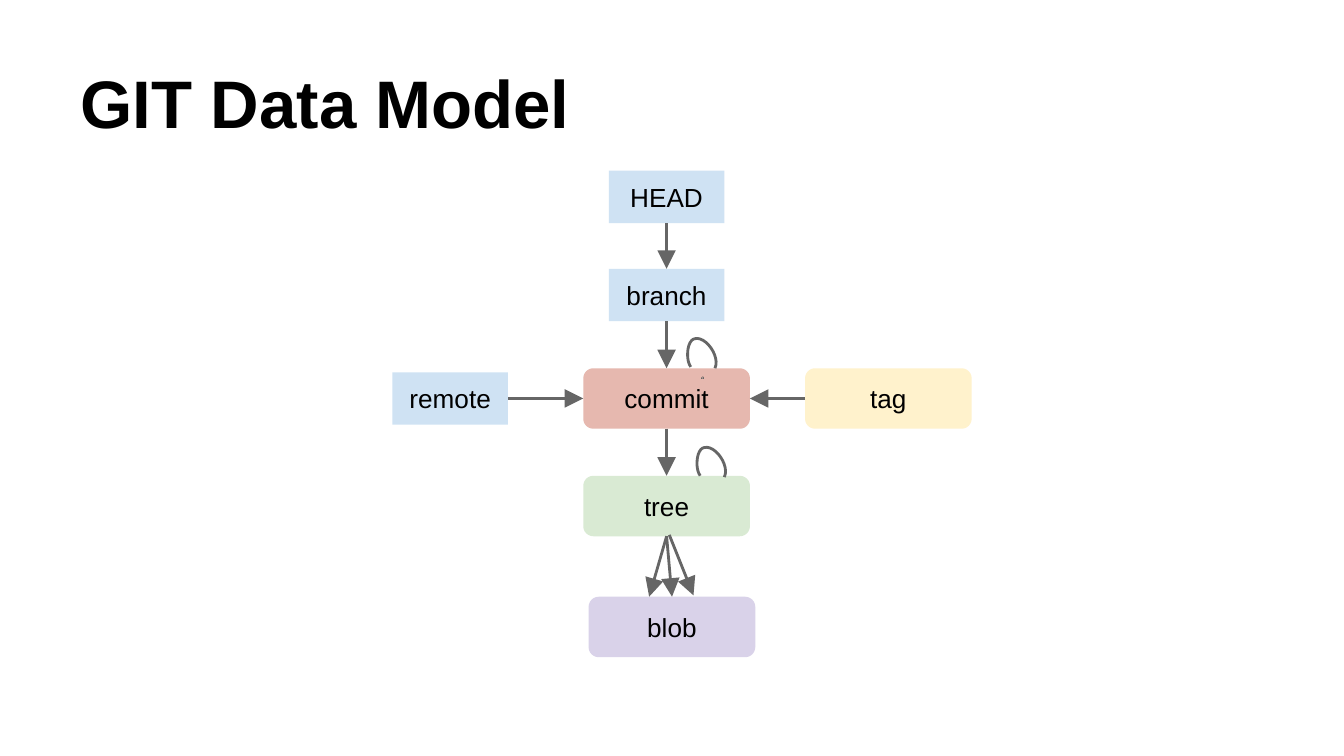
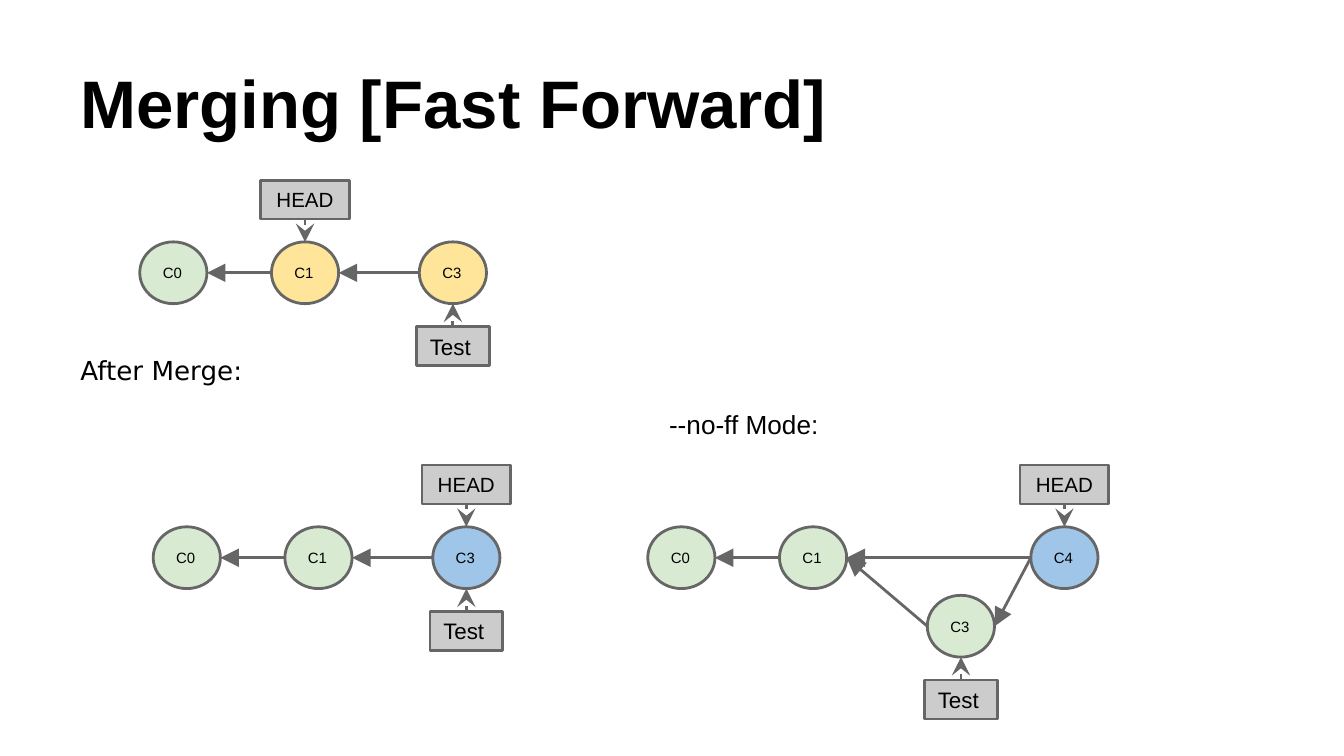
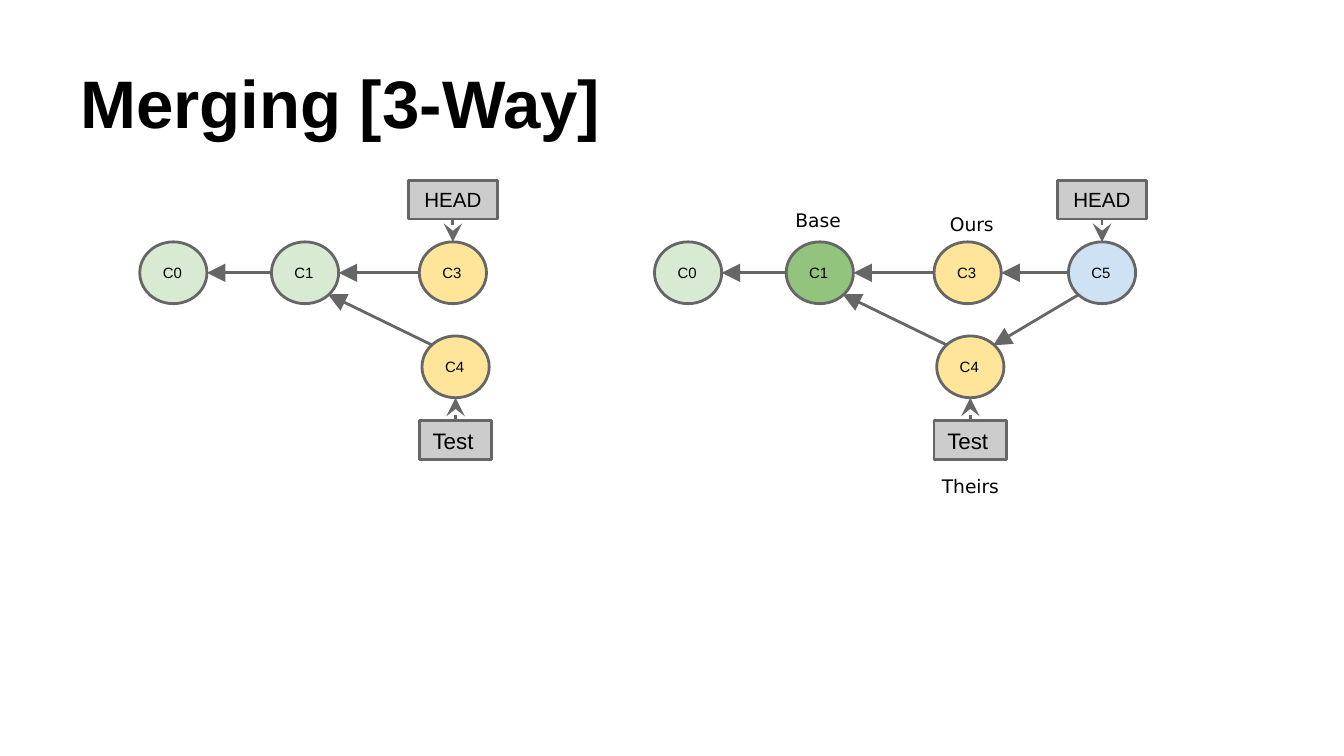
from pptx import Presentation
from pptx import util as u
from pptx.dml.color import RGBColor
from pptx.enum import shapes, text
from pptx.oxml.ns import qn
from lxml import etree

PX = 9144  # 100 px to the inch
BLACK = RGBColor(0x00, 0x00, 0x00)
DARK = RGBColor(0x66, 0x66, 0x66)
GREY = RGBColor(0xCC, 0xCC, 0xCC)
SKY = RGBColor(0xCF, 0xE2, 0xF3)
BLUE = RGBColor(0x9F, 0xC5, 0xE8)
ROSE = RGBColor(0xE6, 0xB8, 0xAF)
MINT = RGBColor(0xD9, 0xEA, 0xD3)
GREEN = RGBColor(0x93, 0xC4, 0x7D)
LILAC = RGBColor(0xD9, 0xD2, 0xE9)
CREAM = RGBColor(0xFF, 0xF2, 0xCC)
GOLD = RGBColor(0xFF, 0xE5, 0x99)

KIND = shapes.MSO_SHAPE
LEFT, MID = text.PP_ALIGN.LEFT, text.PP_ALIGN.CENTER
TOP, BOTTOM, CENTRE = (text.MSO_ANCHOR.TOP, text.MSO_ANCHOR.BOTTOM,
                       text.MSO_ANCHOR.MIDDLE)
SANS = "DejaVu Sans"


def write(words, x, y, w, h, kind=None, fill=None, line=None, size=14,
          font="Arial", bold=False, align=LEFT, anchor=TOP):
    """Place text in a plain box, or in a preset shape if a kind is given."""
    box = [v * PX for v in (x, y, w, h)]
    if kind is None:
        item = slide.shapes.add_textbox(*box)
    else:
        item = slide.shapes.add_shape(kind, *box)
        item.shadow.inherit = False
        item.fill.solid()
        item.fill.fore_color.rgb = fill
        if line is None:
            item.line.fill.background()
        else:
            item.line.color.rgb = line
            item.line.width = u.Pt(1.5)
    frame = item.text_frame
    frame.word_wrap = True
    frame.vertical_anchor = anchor
    frame.margin_left = frame.margin_right = 10 * PX
    frame.margin_top = frame.margin_bottom = 10 * PX
    para = frame.paragraphs[0]
    para.alignment = align
    run = para.add_run()
    run.text = words
    run.font.size = u.Pt(size)
    run.font.name = font
    run.font.bold = bold
    run.font.color.rgb = BLACK
    return item


def arrow(start, end, head="triangle"):
    """Draw an arrow; each end is a point (x, y) or a (shape, side) pair."""
    spots = [(0, 0) if hasattr(e[0], "left") else e for e in (start, end)]
    line = slide.shapes.add_connector(
        shapes.MSO_CONNECTOR.STRAIGHT, *[v * PX for p in spots for v in p])
    if hasattr(start[0], "left"):
        line.begin_connect(*start)
    if hasattr(end[0], "left"):
        line.end_connect(*end)
    line.line.color.rgb = DARK
    line.line.width = u.Pt(1.5)
    props = line.element.spPr
    etree.SubElement(props.find(qn("a:ln")), qn("a:tailEnd"),
                     type=head, w="lg", len="lg")
    etree.SubElement(props, qn("a:effectLst"))


deck = Presentation()
deck.slide_width = 1000 * PX
deck.slide_height = deck.slide_width * 9 // 16
pages = []
for title in ("GIT Data Model", "Merging [Fast Forward]", "Merging [3-Way]"):
    slide = deck.slides.add_slide(deck.slide_layouts[6])
    write(title, 50, 22, 900, 94, size=36, bold=True, anchor=BOTTOM)
    pages.append(slide)

# Data model: objects are rounded, references are square
slide = pages[0]
part = {}
for name, x, y, fill in (("commit", 434, 274, ROSE), ("tree", 434, 354, MINT),
                         ("blob", 438, 444, LILAC), ("tag", 599, 274, CREAM)):
    part[name] = write(name, x, y, 124, 45, kind=KIND.FLOWCHART_ALTERNATE_PROCESS,
                       fill=fill, align=MID, anchor=CENTRE)
for name, x, y in (("HEAD", 453, 127), ("branch", 453, 200), ("remote", 292, 277)):
    part[name] = write(name, x, y, 86, 39, kind=KIND.RECTANGLE,
                       fill=SKY, align=MID, anchor=CENTRE)

for a, out, b, into in (("HEAD", 2, "branch", 0), ("branch", 2, "commit", 0),
                        ("commit", 2, "tree", 0), ("remote", 3, "commit", 1),
                        ("tag", 1, "commit", 3)):
    arrow((part[a], out), (part[b], into))
arrow((part["tree"], 2), (483, 444))
arrow((part["tree"], 2), (500, 444))
arrow((498, 398), (516, 443))

# Loops above commit and tree: two Bezier curves each, and a tiny arc
loops = [slide.shapes.add_shape(KIND.ARC, 523 * PX, 281 * PX, 0, 0)]
curves = (((514, 273), (510, 268), (511, 253), (517, 252)),
          ((517, 252), (525, 250), (536, 265), (532, 274)))
STEPS = 12
for dx, dy in ((0, 0), (7, 81)):
    dots = []
    for p in curves:
        for i in range(STEPS + 1):
            t = i / STEPS
            mix = ((1 - t) ** 3, 3 * t * (1 - t) ** 2, 3 * t * t * (1 - t), t ** 3)
            dots.append(((dx + sum(m * q[0] for m, q in zip(mix, p))) * PX,
                         (dy + sum(m * q[1] for m, q in zip(mix, p))) * PX))
    pen = slide.shapes.build_freeform(*dots[0])
    pen.add_line_segments(dots[1:], close=False)
    loops.append(pen.convert_to_shape())
for loop in loops:
    loop.shadow.inherit = False
    loop.fill.background()
    loop.line.color.rgb = DARK
    loop.line.width = u.Pt(1.5)

# Commit graphs: page, origin, commits (offset, fill), edges, HEAD, Test
WIDE, HIGH = 50, 46
SIDE = {"W": (0, 0.5), "E": (1, 0.5), "NW": (0.15, 0.15), "SE": (0.85, 0.85),
        "SW": (0.15, 0.85), "NE": (0.85, 0.15)}
FLAT = [("C1", "W", "C0", "E"), ("C3", "W", "C1", "E")]
FORK = FLAT + [("C4", "NW", "C1", "SE")]
graphs = (
    (1, 104, 180,
     {"C0": (0, 0, MINT), "C1": (98, 0, GOLD), "C3": (208, 0, GOLD)},
     FLAT, "C1", "C3"),
    (1, 114, 392,
     {"C0": (0, 0, MINT), "C1": (98, 0, MINT), "C3": (208, 0, BLUE)},
     FLAT, "C3", "C3"),
    (1, 482, 392,
     {"C0": (0, 0, MINT), "C1": (98, 0, MINT), "C3": (208, 51, MINT),
      "C4": (285, 0, BLUE)},
     FLAT + [("C4", "W", "C1", "E"), ("C4", "W", "C3", "E")], "C4", "C3"),
    (2, 104, 180,
     {"C0": (0, 0, MINT), "C1": (98, 0, MINT), "C3": (208, 0, GOLD),
      "C4": (210, 70, GOLD)},
     FORK, "C3", "C4"),
    (2, 487, 180,
     {"C0": (0, 0, MINT), "C1": (98, 0, GREEN), "C3": (208, 0, GOLD),
      "C4": (210, 70, GOLD), "C5": (308, 0, SKY)},
     FORK + [("C5", "W", "C3", "E"), ("C5", "SW", "C4", "NE")], "C5", "C4"),
)
for page, left, top, nodes, edges, head, test in graphs:
    slide = pages[page]
    spot = {}
    for name, (dx, dy, fill) in nodes.items():
        spot[name] = x, y = left + dx, top + dy
        write(name, x, y, WIDE, HIGH, kind=KIND.OVAL, fill=fill, line=DARK,
              size=8, anchor=CENTRE)
    for a, out, b, into in edges:
        arrow(*[(spot[n][0] + round(SIDE[s][0] * WIDE),
                 spot[n][1] + round(SIDE[s][1] * HIGH))
                for n, s in ((a, out), (b, into))])
    # HEAD sits above its commit, Test below
    x, y = spot[head]
    label = write("HEAD", x - 8, y - 46, 66, 29, kind=KIND.RECTANGLE, fill=GREY,
                  line=DARK, size=11, align=MID, anchor=CENTRE)
    arrow((label, 2), (x + WIDE // 2, y), head="stealth")
    x, y = spot[test]
    label = write("Test", x - 2, y + 63, 54, 29, kind=KIND.RECTANGLE, fill=GREY,
                  line=DARK, size=12, anchor=CENTRE)
    arrow((label, 0), (x + WIDE // 2, y + HIGH), head="stealth")

# Captions
slide = pages[1]
write("After Merge:", 50, 254, 900, 43, font=SANS)
write("--no-ff Mode:", 488, 294, 137, 29)
slide = pages[2]
for words, x, y, w, h in (("Base", 582, 151, 109, 13), ("Ours", 697, 150, 76, 24),
                          ("Theirs", 691, 345, 76, 24)):
    write(words, x, y, w, h, size=10, font=SANS)

deck.save("out.pptx")
